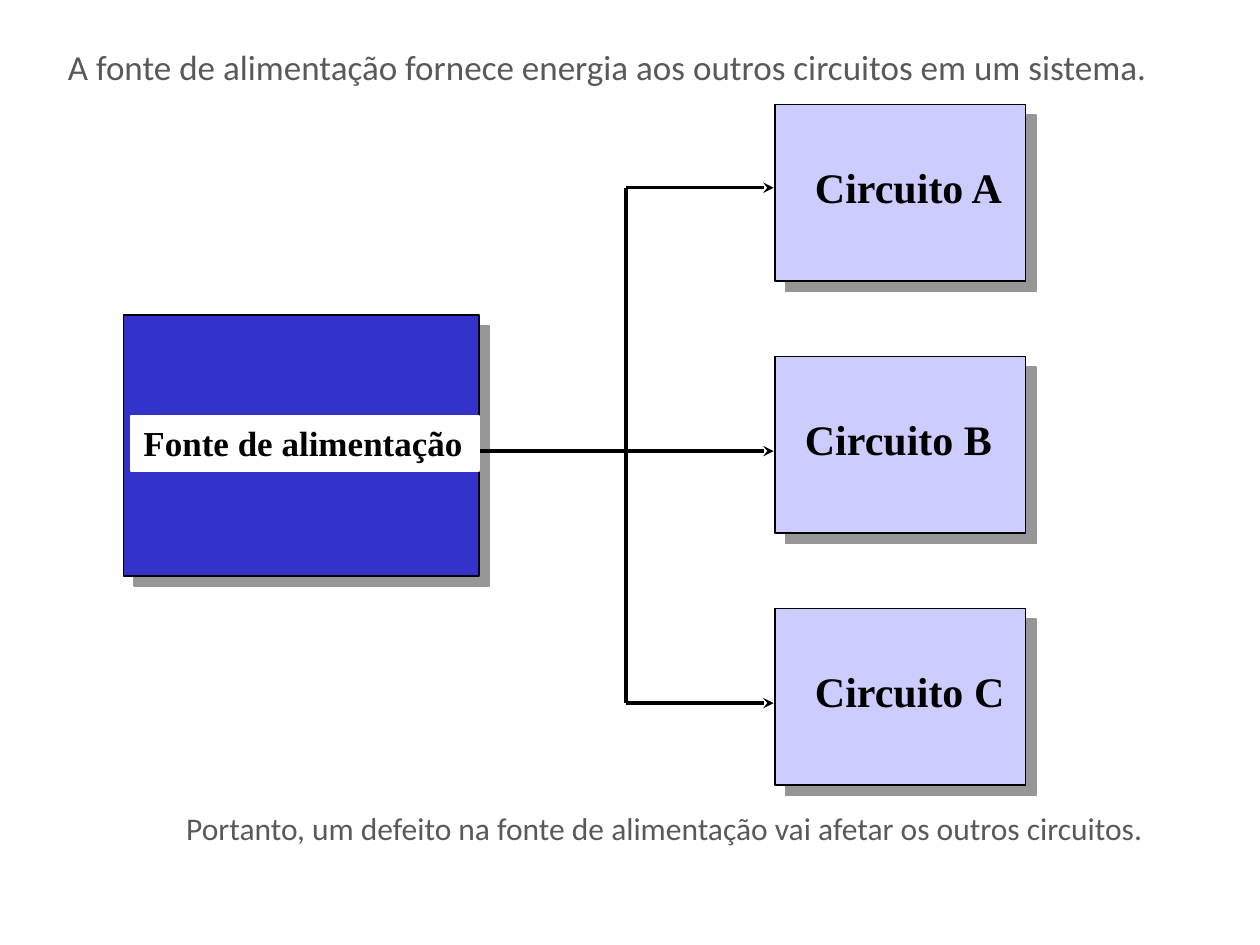
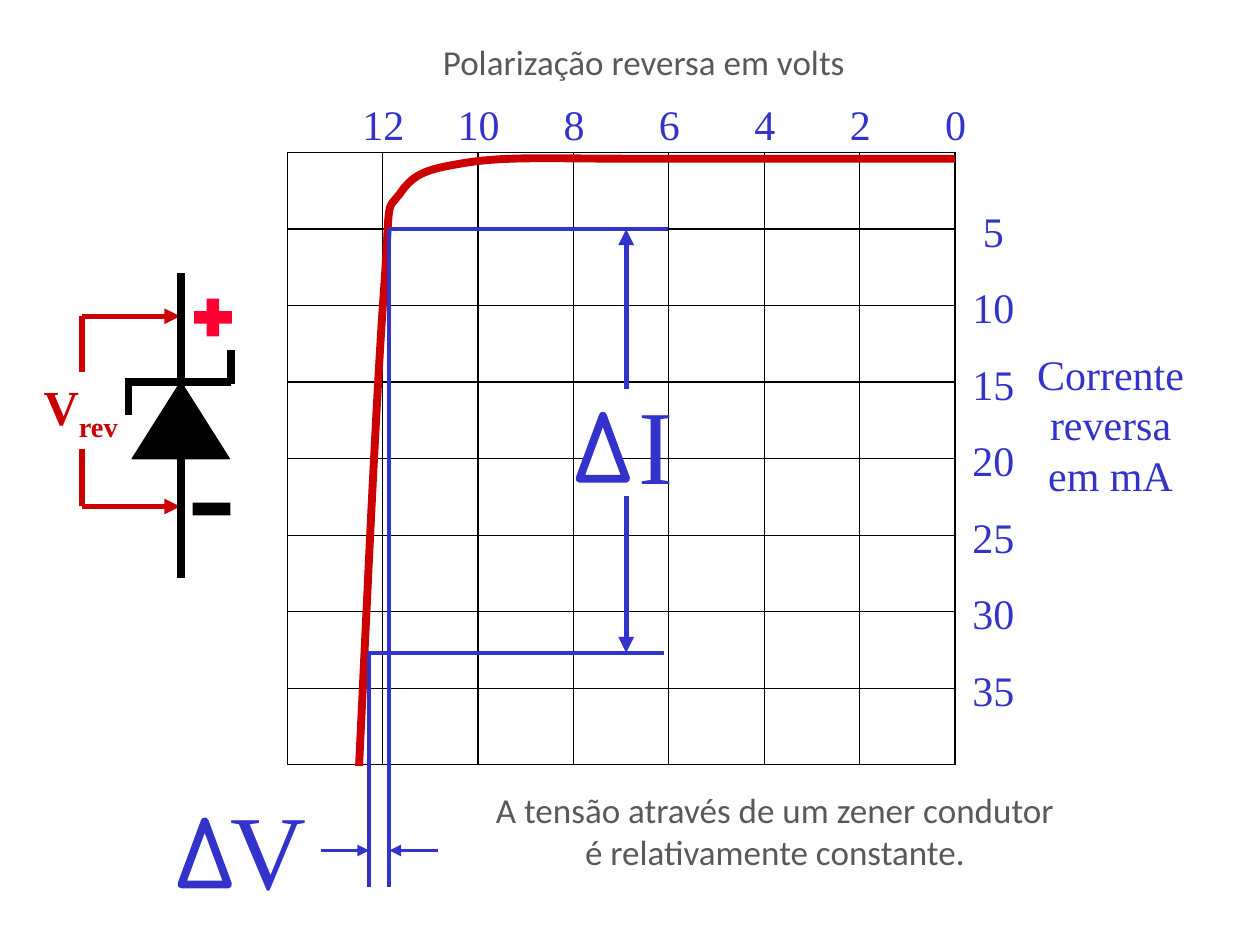
from lxml import etree
from pptx import Presentation
from pptx.dml.color import RGBColor
from pptx.enum import shapes, text
from pptx.oxml.ns import qn
from pptx.util import Inches, Pt

COLORS = {
    "white": "FFFFFF", "black": "000000", "gray": "595959", "shadow": "969696",
    "blue": "3333CC", "lilac": "CCCCFF", "red": "CC0000", "plus": "FF0033",
}
SANS, SERIF = "Calibri", "Times New Roman"
CENTER = dict(align=text.PP_ALIGN.CENTER, anchor=text.MSO_ANCHOR.MIDDLE)
AXIS = dict(size=24, font=SERIF, color="blue", **CENTER)
RECT, TRIANGLE = shapes.MSO_SHAPE.RECTANGLE, shapes.MSO_SHAPE.ISOSCELES_TRIANGLE


def rgb(name):
    return RGBColor.from_string(COLORS[name])


def write(tf, txt, size=20, font=SANS, color="gray", bold=False, sub=None, wrap=False,
          align=text.PP_ALIGN.LEFT, anchor=text.MSO_ANCHOR.TOP):
    """Fill a text frame; each line of txt is a paragraph, sub is a subscript."""
    tf.word_wrap = wrap
    tf.auto_size = text.MSO_AUTO_SIZE.SHAPE_TO_FIT_TEXT
    tf.vertical_anchor = anchor
    for i, row in enumerate(txt.split("\n")):
        p = tf.add_paragraph() if i else tf.paragraphs[0]
        p.alignment = align
        for part in filter(None, (row, sub)):
            r = p.add_run()
            r.text = part
            r.font.size, r.font.name, r.font.bold = Pt(size), font, bold
            r.font.color.rgb = rgb(color)
            if part == sub:
                r._r.get_or_add_rPr().set("baseline", "-25000")


def label(s, box, txt, **fmt):
    sp = s.shapes.add_textbox(*map(Inches, box))
    write(sp.text_frame, txt, **fmt)


def shape(s, kind, box, fill=None, line=None, width=1, shadow=False):
    sp = s.shapes.add_shape(kind, *map(Inches, box))
    sp.shadow.inherit = False
    if fill:
        sp.fill.solid()
        sp.fill.fore_color.rgb = rgb(fill)
    else:
        sp.fill.background()
    if line:
        sp.line.color.rgb, sp.line.width = rgb(line), Pt(width)
    else:
        sp.line.fill.background()
    if shadow:
        effects = sp._element.spPr.find(qn("a:effectLst"))
        outer = etree.SubElement(effects, qn("a:outerShdw"), dist=str(Pt(8.5)),
                                 dir="2700000", algn="ctr", rotWithShape="0")
        etree.SubElement(outer, qn("a:srgbClr"), val=COLORS["shadow"])
    return sp


def line(s, x1, y1, x2, y2, color="black", width=0.75, arrow=None):
    """Straight line, with an optional arrowhead at its second point."""
    c = s.shapes.add_connector(shapes.MSO_CONNECTOR.STRAIGHT,
                               *map(Inches, (x1, y1, x2, y2)))
    c.line.color.rgb, c.line.width = rgb(color), Pt(width)
    if arrow:
        etree.SubElement(c.line._get_or_add_ln(), qn("a:tailEnd"), type=arrow)
    etree.SubElement(c._element.spPr, qn("a:effectLst"))


def bezier(p0, p1, p2, p3, steps=16):
    for i in range(1, steps + 1):
        t = i / steps
        weights = ((1 - t) ** 3, 3 * t * (1 - t) ** 2, 3 * t * t * (1 - t), t ** 3)
        yield tuple(sum(w * p[k] for w, p in zip(weights, (p0, p1, p2, p3)))
                    for k in (0, 1))


# --- Slide 1: power supply feeding three circuits ---
def power_supply(s, x, y, w, h):
    shape(s, RECT, (x, y, w, h), "blue", "black", shadow=True)
    sp = shape(s, RECT, (x + 0.06, y + 0.8, w - 0.06, 0.44), "white", "white")
    write(sp.text_frame, "Fonte de alimentação", font=SERIF, color="black", bold=True)


def circuit(s, x, y, w, h, name, indent):
    shape(s, RECT, (x, y, w, h), "lilac", "black", shadow=True)
    label(s, (x + indent, y + 0.4, 1.7, 0.46), name, size=24, font=SERIF,
          color="black", bold=True)


def wiring(s, x, bus_x, end_x, levels):
    for level in levels:
        line(s, bus_x, level, end_x, level, width=2, arrow="stealth")
    line(s, bus_x, levels[0], bus_x, levels[-1], width=2)
    line(s, x, levels[1], bus_x, levels[1], width=2)


def supply_slide(prs):
    s = prs.slides.add_slide(prs.slide_layouts[6])
    label(s, (0.44, 0.31, 8.85, 0.44),
          "A fonte de alimentação fornece energia aos outros circuitos em um sistema.")
    label(s, (1.38, 6.37, 8.47, 0.4),
          "Portanto, um defeito na fonte de alimentação vai afetar os outros circuitos.",
          size=18, wrap=True)
    power_supply(s, 0.98, 2.5, 2.82, 2.07)
    for i, (letter, indent) in enumerate(zip("ABC", (0.22, 0.14, 0.22))):
        circuit(s, 6.15, 0.83 + 2 * i, 1.99, 1.4, f"Circuito {letter}", indent)
    wiring(s, 3.81, 4.97, 6.14, (1.49, 3.58, 5.58))


# --- Slide 2: reverse characteristic of a zener diode ---
def chart_grid(s, x, y, w, h, cols=7, rows=8):
    dx, dy = w / cols, h / rows
    for i in range(cols + 1):
        line(s, x + i * dx, y, x + i * dx, y + h)
    for i in range(rows + 1):
        line(s, x, y + i * dy, x + w, y + i * dy)
    # Axis values: volts along the top, milliamps down the right side
    for i in range(1, cols + 1):
        label(s, (x + i * dx - 0.26, y - 0.46, 0.53, 0.46), str(2 * (cols - i)), **AXIS)
    for i in range(1, rows):
        label(s, (x + w + 0.04, y + i * dy - 0.22, 0.53, 0.46), str(5 * i), **AXIS)


def zener_curve(s, x, y):
    """Curve that starts at the right end (x, y) and runs left, then down."""
    bends = [(-2.53, 0), (-3.18, 0), (-3.55, -0.02), (-3.87, 0.03),
             (-4.18, 0.08), (-4.29, 0.11), (-4.4, 0.27),
             (-4.52, 0.43), (-4.48, 0.26), (-4.53, 1.02),
             (-4.59, 1.77), (-4.69, 4.03), (-4.73, 4.82)]
    points = [bends[0]]
    for i in range(0, len(bends) - 1, 3):
        points += bezier(*bends[i:i + 4])
    fb = s.shapes.build_freeform(Inches(x), Inches(y))
    fb.add_line_segments([(Inches(x + a), Inches(y + b)) for a, b in points],
                         close=False)
    sp = fb.convert_to_shape()
    sp.shadow.inherit = False
    sp.fill.background()
    sp.line.color.rgb, sp.line.width = rgb("red"), Pt(4.5)


def delta(s, x, y, letter, letter_box, fill=None):
    dx, dy, w = letter_box
    label(s, (x + dx, y + dy, w, 1.01), letter, **{**AXIS, "size": 60})
    shape(s, TRIANGLE, (x, y, 0.37, 0.5), fill, "blue", 4.5)


def current_change(s, x, top, bottom):
    line(s, x - 1.88, top, x + 0.33, top, "blue", 2.25)
    line(s, x - 2.05, bottom, x + 0.3, bottom, "blue", 2.25)
    delta(s, x - 0.37, top + 1.48, "I", (0.37, -0.29, 0.48), "white")
    line(s, x, top + 1.27, x, top, "blue", 3, "triangle")
    line(s, x, bottom - 1.24, x, bottom, "blue", 3, "triangle")


def voltage_change(s, left, right, y, bottom):
    line(s, right, 1.82, right, bottom, "blue", 2.25)
    line(s, left, 5.18, left, bottom, "blue", 2.25)
    delta(s, left - 1.49, y - 0.23, "V", (0.29, -0.3, 0.8))
    for start, end in ((left - 0.38, left), (right + 0.39, right)):
        line(s, start, y, end, y, "blue", 2.25, "triangle")


def zener_symbol(s, x, y):
    """Diode whose bar is centred at (x, y)."""
    shape(s, TRIANGLE, (x - 0.39, y, 0.77, 0.61), "black", "black", 0.75)
    for x1, y1, x2, y2 in ((-0.45, 0, 0.39, 0), (0, -0.86, 0, 1.56),
                           (-0.42, -0.01, -0.42, 0.26), (0.39, 0.02, 0.39, -0.25)):
        line(s, x + x1, y + y1, x + x2, y + y2, width=4.5)
    # Polarity signs
    shape(s, RECT, (x + 0.09, y + 0.96, 0.3, 0.1), "black")
    shape(s, RECT, (x + 0.1, y - 0.56, 0.3, 0.1), "plus")
    shape(s, RECT, (x + 0.2, y - 0.66, 0.1, 0.3), "plus")


def reverse_voltage(s, x, top, bottom):
    label(s, (x - 0.43, top + 0.48, 0.84, 0.52), "V", sub="rev", size=28, font=SERIF,
          color="red", bold=True, **CENTER)
    for y, inner in ((top, top + 0.44), (bottom, bottom - 0.46)):
        line(s, x, y, x + 0.78, y, "red", 3, "triangle")
        line(s, x, y, x, inner, "red", 3)


def zener_slide(prs):
    s = prs.slides.add_slide(prs.slide_layouts[6])
    chart_grid(s, 2.28, 1.21, 5.3, 4.86)
    zener_curve(s, 7.58, 1.26)
    label(s, (3.36, 0.27, 3.5, 0.44), "Polarização reversa em volts", **CENTER)
    label(s, (8.13, 2.77, 1.37, 1.19), "Corrente\nreversa\nem mA", **AXIS)
    current_change(s, 4.97, 1.82, 5.18)
    voltage_change(s, 2.93, 3.09, 6.75, 7.04)
    reverse_voltage(s, 0.65, 2.51, 4.02)
    label(s, (3.74, 6.21, 4.82, 0.77),
          "A tensão através de um zener condutor\né relativamente constante.", **CENTER)
    zener_symbol(s, 1.44, 3.03)


def main():
    prs = Presentation()
    prs.slide_width, prs.slide_height = Inches(10), Inches(7.5)
    supply_slide(prs)
    zener_slide(prs)
    prs.save("out.pptx")


if __name__ == "__main__":
    main()
